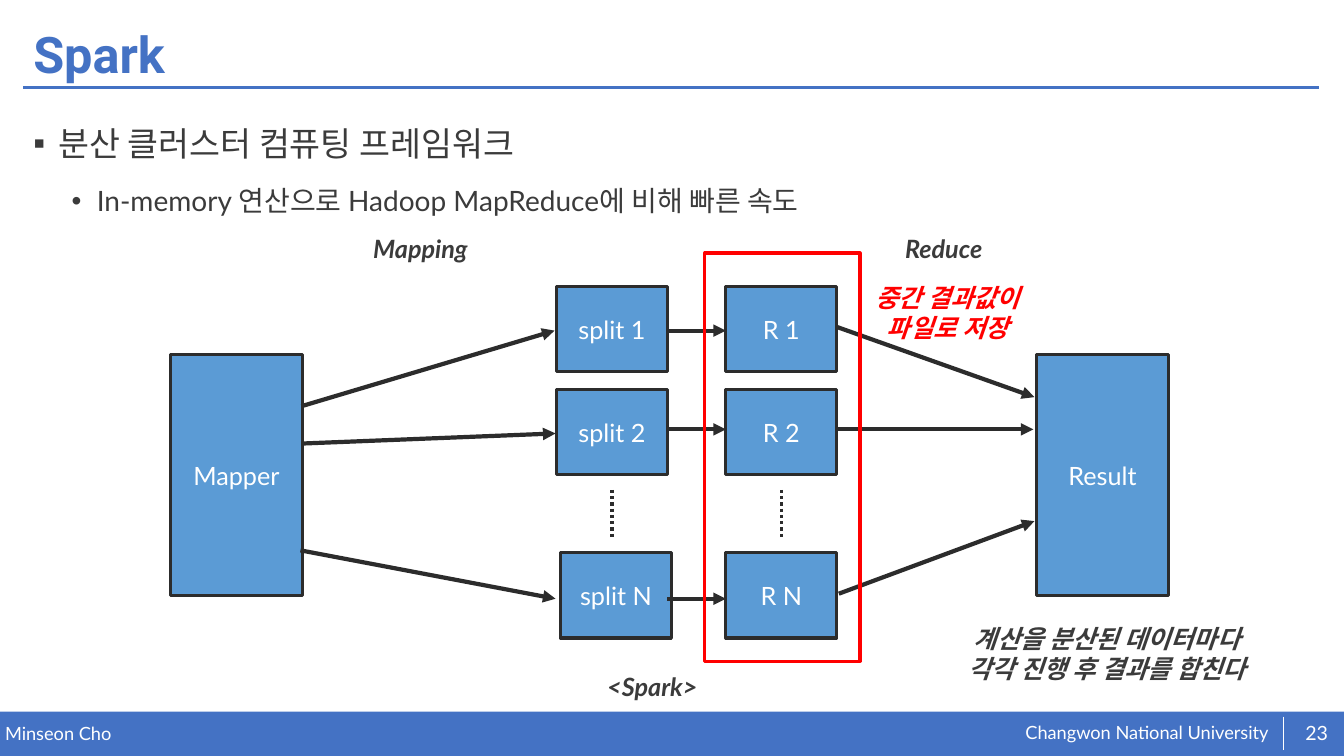
from lxml.etree import SubElement
from pptx import Presentation
from pptx.dml.color import RGBColor
from pptx.enum.dml import MSO_LINE_DASH_STYLE as DASH
from pptx.enum.shapes import MSO_CONNECTOR as CONNECTOR, MSO_SHAPE as SHAPE
from pptx.enum.text import MSO_ANCHOR as ANCHOR, MSO_AUTO_SIZE as AUTO_SIZE, PP_ALIGN as ALIGN
from pptx.oxml.ns import qn
from pptx.util import Pt

PX = 9144
BLUE, BOX_BLUE, DARK, GREY, RED, WHITE = "4472C4", "5B9BD5", "2C2C2C", "3B3B3B", "FF0000", "FFFFFF"
color = RGBColor.from_string


def write(shape, lines, format, align=ALIGN.CENTER, anchor=ANCHOR.MIDDLE, inset=None):
    frame = shape.text_frame
    frame.word_wrap = True
    frame.auto_size = AUTO_SIZE.NONE
    frame.vertical_anchor = anchor
    if inset is not None:
        for side in ("left", "top", "right", "bottom"):
            setattr(frame, f"margin_{side}", inset)
    for index, line in enumerate(lines):
        paragraph = frame.paragraphs[0] if index == 0 else frame.add_paragraph()
        paragraph.alignment = align
        run = paragraph.add_run()
        run.text = line
        for name, value in format.items():
            if name == "color":
                run.font.color.rgb = color(value)
            else:
                setattr(run.font, name, value)


def connect(start, end, line_color, width, arrow=False):
    points = [value * PX for value in (*start, *end)]
    connector = slide.shapes.add_connector(CONNECTOR.STRAIGHT, *points)
    connector.line.color.rgb = color(line_color)
    connector.line.width = Pt(width)
    if arrow:
        SubElement(connector.line._get_or_add_ln(), qn("a:tailEnd"), type="triangle")
    SubElement(connector._element.spPr, qn("a:effectLst"))
    return connector


presentation = Presentation()
presentation.slide_width = 1333 * PX
presentation.slide_height = 750 * PX
slide = presentation.slides.add_slide(presentation.slide_layouts[1])

footer = slide.shapes.add_shape(SHAPE.RECTANGLE, 0, 706 * PX, 1333 * PX, 44 * PX)
footer.shadow.inherit = False
footer.fill.solid()
footer.fill.fore_color.rgb = color(BLUE)
footer.line.fill.background()

footer_texts = [
    ("Changwon National University", (1013, 716, 245, 23), 13, ALIGN.RIGHT, ANCHOR.TOP),
    ("Minseon Cho", (5, 717, 655, 22), 13, ALIGN.LEFT, ANCHOR.TOP),
    ("23", (1282, 707, 48, 40), 14, ALIGN.CENTER, ANCHOR.MIDDLE),
]
for text, place, size, align, anchor in footer_texts:
    box = slide.shapes.add_textbox(*[value * PX for value in place])
    write(box, [text], {"name": "Lato", "size": Pt(size), "color": WHITE}, align, anchor, 0)

connect((23, 87), (1308, 87), BLUE, 2)
connect((1273, 711), (1273, 744), WHITE, 0.5)

title, body = slide.placeholders
for placeholder, place in ((title, (23, 18, 1286, 77)), (body, (23, 101, 1286, 563))):
    for side, value in zip(("left", "top", "width", "height"), place):
        setattr(placeholder, side, value * PX)

write(title, ["Spark"], {"name": "Roboto", "size": Pt(36), "bold": True, "color": BLUE}, ALIGN.LEFT)
title.text_frame.paragraphs[0].line_spacing = 0.9

points = ["분산 클러스터 컴퓨팅 프레임워크", "In-memory 연산으로 Hadoop MapReduce에 비해 빠른 속도"]
write(body, points, {"name": "Lato", "color": GREY}, ALIGN.LEFT, ANCHOR.TOP)
bullets = [("▪", 25, 24, 0), ("•", 63, 20, 5)]
for level, (paragraph, (bullet, margin, size, space)) in enumerate(zip(body.text_frame.paragraphs, bullets)):
    paragraph.level = level
    paragraph.line_spacing = 1.4
    paragraph.space_before = Pt(space)
    properties = paragraph._p.get_or_add_pPr()
    properties.set("marL", str(margin * PX))
    properties.set("indent", str(-25 * PX))
    SubElement(properties, qn("a:buFont"), typeface="Arial")
    SubElement(properties, qn("a:buChar"), char=bullet)
    paragraph.runs[0].font.size = Pt(size)

boxes = [("Mapper", 169, 352, 131, 239), ("Result", 1028, 352, 131, 239)]
for number, top, split_left in (("1", 284, 552), ("2", 386, 552), ("N", 548, 556)):
    boxes.append((f"split {number}", split_left, top, 110, 85))
    boxes.append((f"R {number}", 720, top, 110, 85))
for text, *place in boxes:
    box = slide.shapes.add_shape(SHAPE.RECTANGLE, *[value * PX for value in place])
    box.shadow.inherit = False
    box.fill.solid()
    box.fill.fore_color.rgb = color(BOX_BLUE)
    box.line.color.rgb = color(DARK)
    box.line.width = Pt(2.25)
    write(box, [text], {"name": "Lato", "size": Pt(18), "color": WHITE})

arrows = [
    ((299, 403), (550, 328)),
    ((300, 440), (551, 430)),
    ((298, 546), (551, 594)),
    ((829, 324), (1026, 394)),
    ((831, 426), (1025, 426)),
    ((832, 589), (1026, 517)),
]
arrows += [((662, y), (720, y)) for y in (328, 426, 594)]
for start, end in arrows:
    connect(start, end, DARK, 3, arrow=True)

for x in (607, 775):
    dots = connect((x, 486), (x, 533), DARK, 2.25)
    dots.line.dash_style = DASH.ROUND_DOT

frame = slide.shapes.add_shape(SHAPE.RECTANGLE, 699 * PX, 251 * PX, 154 * PX, 405 * PX)
frame.shadow.inherit = False
frame.fill.background()
frame.line.color.rgb = color(RED)
frame.line.width = Pt(2.25)

captions = [
    (["<Spark>"], (458, 661, 378, 40), GREY),
    (["계산을 분산된 데이터마다", "각각 진행 후 결과를 합친다"], (909, 613, 378, 71), GREY),
    (["중간 결과값이", "파일로 저장"], (781, 275, 318, 71), RED),
    (["Mapping"], (297, 227, 240, 40), GREY),
    (["Reduce"], (816, 227, 240, 40), GREY),
]
for lines, place, text_color in captions:
    caption = slide.shapes.add_textbox(*[value * PX for value in place])
    format = {"name": "Lato", "size": Pt(18), "bold": True, "italic": True, "color": text_color}
    write(caption, lines, format, anchor=ANCHOR.TOP)

presentation.save("out.pptx")
